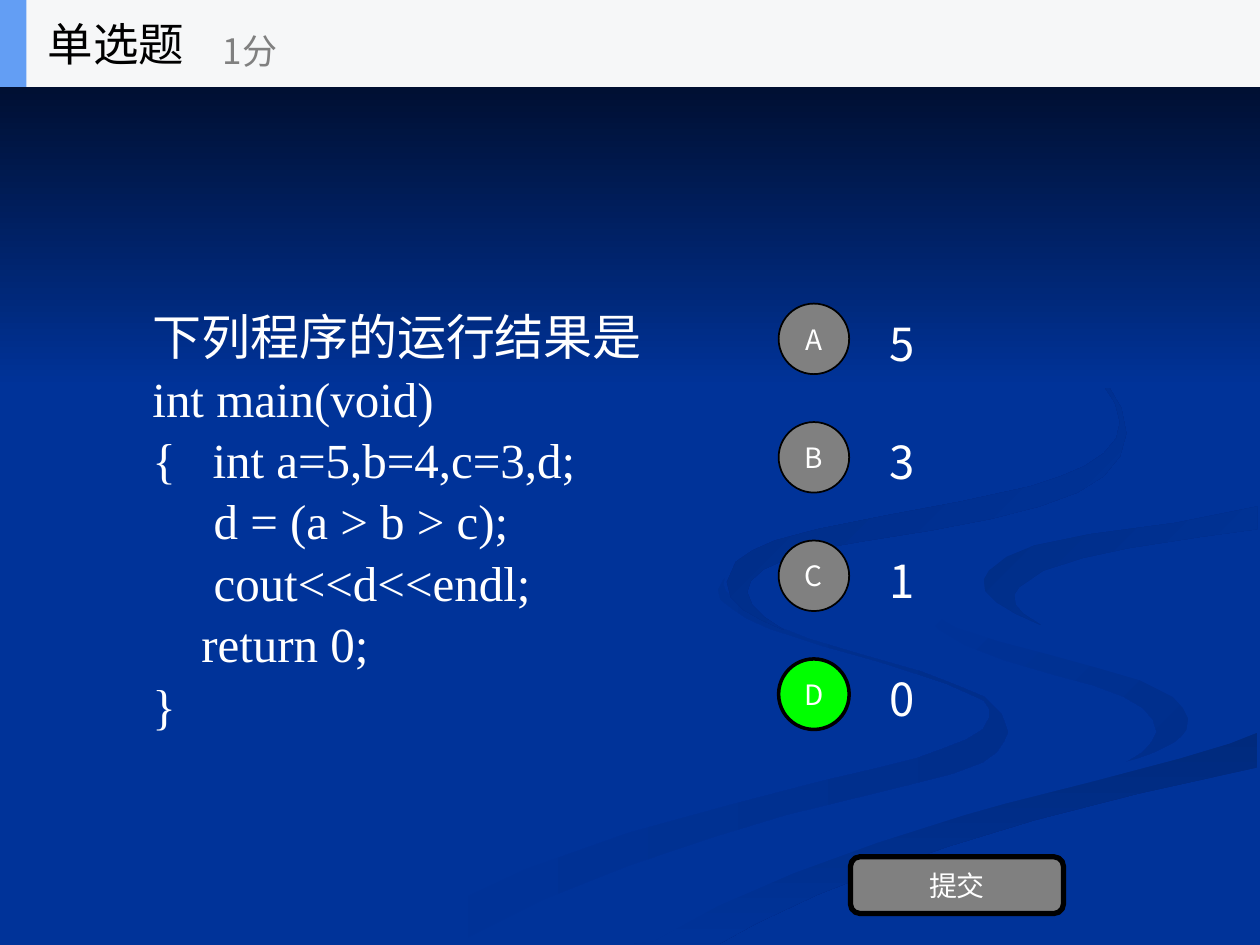
import pptx
import pptx.util
import pptx.dml.color
import pptx.enum.shapes
import pptx.enum.text
import pptx.oxml.ns
import lxml.etree

PX = 9144
SANS = "Noto Sans CJK SC"
SERIF = "Times New Roman"
SHAPE = pptx.enum.shapes.MSO_SHAPE
ALIGN = pptx.enum.text.PP_ALIGN
COLORS = {
    "blue": "003399", "night": "000514", "white": "FFFFFF", "black": "000000",
    "gray": "808080", "green": "00FF00", "bar": "F6F7F8", "accent": "639EF4",
    "shade_left": "002E8B", "shade_low": "002A7D", "shade_right": "002D86", "shade_top": "002B82",
}
QUESTION = [
    "下列程序的运行结果是",
    "int main(void)",
    "{   int a=5,b=4,c=3,d;",
    "     d = (a > b > c);",
    "     cout<<d<<endl;",
    "    return 0;",
    "}",
]
OPTIONS = [("A", "5"), ("B", "3"), ("C", "1"), ("D", "0")]
CORRECT = "D"

LEFT_RIBBON = [
    (781, 553), (757, 543), (731, 533), (682, 519), (642, 507), (614, 496), (594, 485), (583, 477),
    (576, 469), (574, 464), (575, 459), (570, 468), (572, 476), (581, 483), (593, 491), (611, 499),
    (654, 513), (697, 525), (728, 535), (752, 543), (770, 551), (781, 556), (785, 562), (785, 570),
    (780, 579), (767, 587), (749, 594), (727, 602), (699, 609), (652, 620), (579, 639), (499, 661),
    (417, 690), (338, 727), (300, 749), (361, 749), (431, 714), (499, 687), (564, 665), (623, 647),
    (676, 634), (721, 623), (756, 614), (780, 605), (791, 597), (797, 588), (800, 581), (795, 567),
]
MIDDLE_RIBBON = [
    (943, 570), (939, 562), (930, 553), (905, 540), (870, 530), (830, 519), (792, 509), (758, 498),
    (733, 483), (727, 474), (724, 464), (725, 474), (733, 488), (746, 500), (766, 512), (797, 524),
    (838, 536), (868, 544), (892, 553), (907, 562), (915, 571), (918, 581), (914, 589), (907, 597),
    (894, 605), (916, 597), (932, 589), (941, 581),
]
LOW_RIBBON = [
    (519, 747), (503, 749), (571, 749), (600, 733), (649, 710), (695, 692), (752, 672), (821, 651),
    (903, 630), (998, 609), (998, 581), (976, 590), (936, 602), (867, 620), (797, 638), (764, 647),
    (696, 669), (630, 693), (569, 719),
]
WIDE_RIBBON = [
    (725, 464), (728, 474), (734, 483), (759, 498), (793, 509), (831, 519), (871, 530), (905, 540),
    (931, 553), (939, 562), (943, 570), (942, 579), (936, 587), (926, 593), (911, 600), (892, 605),
    (843, 618), (780, 634), (704, 655), (619, 684), (526, 724), (477, 749), (503, 749), (519, 747),
    (570, 719), (630, 693), (696, 669), (765, 647), (797, 638), (868, 620), (936, 602), (976, 590),
    (999, 581), (999, 538), (959, 531), (904, 519), (848, 503), (804, 485), (786, 473), (781, 463),
    (786, 453), (800, 442), (822, 434), (865, 424), (933, 415), (999, 402), (999, 387), (942, 399),
    (874, 408), (808, 417), (770, 427), (742, 439), (730, 449),
]
RIGHT_RIBBON = [
    (781, 460), (782, 469), (791, 478), (806, 487), (826, 496), (812, 487), (806, 480), (805, 472),
    (809, 466), (828, 453), (859, 443), (896, 435), (954, 426), (998, 420), (998, 402), (933, 415),
    (865, 424), (821, 433), (799, 442), (785, 453),
]
TOP_RIBBON = [
    (683, 430), (739, 421), (786, 412), (825, 402), (855, 391), (876, 378), (889, 362), (894, 344),
    (890, 324), (880, 307), (864, 291), (843, 275), (810, 256), (780, 241), (762, 233), (805, 254),
    (846, 279), (862, 292), (876, 306), (885, 320), (889, 335), (886, 348), (876, 360), (861, 370),
    (842, 378), (818, 386), (763, 398), (704, 409), (649, 420), (615, 429), (597, 437), (584, 446),
    (577, 462), (580, 474), (590, 484), (604, 492), (622, 500), (607, 490), (597, 480), (593, 470),
    (596, 461), (606, 452), (624, 444), (649, 436),
]
RIBBONS = [
    (LEFT_RIBBON, "blue", "shade_left", 0),
    (MIDDLE_RIBBON, "blue", "shade_left", 45),
    (LOW_RIBBON, "shade_low", "blue", 90),
    (WIDE_RIBBON, "blue", "blue", 0),
    (RIGHT_RIBBON, "shade_right", "blue", 45),
    (TOP_RIBBON, "shade_top", "blue", 45),
]


def rgb(name):
    """Return the named colour."""
    return pptx.dml.color.RGBColor.from_string(COLORS[name])


def place(part, left, top, width, height):
    """Move and size a part in px."""
    part.left, part.top, part.width, part.height = (v * PX for v in (left, top, width, height))


def write(part, *lines, size, color="white", font=SANS, align=ALIGN.LEFT, wrap=True, gap=0):
    """Fill a part with one formatted paragraph per line."""
    frame = part.text_frame
    frame.auto_size = pptx.enum.text.MSO_AUTO_SIZE.NONE
    frame.word_wrap = wrap
    frame.vertical_anchor = pptx.enum.text.MSO_ANCHOR.MIDDLE
    for index, line in enumerate(lines):
        paragraph = frame.add_paragraph() if index else frame.paragraphs[0]
        paragraph.alignment = align
        paragraph.space_before = pptx.util.Pt(gap if index else 0)
        run = paragraph.add_run()
        run.text = line
        run.font.size = pptx.util.Pt(size)
        run.font.color.rgb = rgb(color)
        run.font.name = font
        east_asian = lxml.etree.SubElement(run.font._element, pptx.oxml.ns.qn("a:ea"))
        east_asian.set("typeface", SANS)


def add_block(slide, kind, box, fill, line=0):
    """Add a filled preset shape, outlined in black when line is given."""
    block = slide.shapes.add_shape(kind, *(v * PX for v in box))
    block.shadow.inherit = False
    block.fill.solid()
    block.fill.fore_color.rgb = rgb(fill)
    if line:
        block.line.color.rgb = rgb("black")
        block.line.width = pptx.util.Pt(line)
    else:
        block.line.fill.background()
    return block


def shade(part, start, end, angle):
    """Give a part a linear gradient, its angle measured clockwise."""
    part.shadow.inherit = False
    part.line.fill.background()
    part.fill.gradient()
    part.fill.gradient_angle = -angle % 360
    for stop, color in zip(part.fill.gradient_stops, (start, end)):
        stop.color.rgb = rgb(color)


def draw_backdrop(slide, left, top, width):
    """Draw the ribbons and the dark sky above them."""
    slide.background.fill.solid()
    slide.background.fill.fore_color.rgb = rgb("blue")
    for outline, start, end, angle in RIBBONS:
        points = [(left + x, top + y) for x, y in outline]
        builder = slide.shapes.build_freeform(*points[0], scale=PX)
        builder.add_line_segments(points[1:])
        shade(builder.convert_to_shape(), start, end, angle)
    sky = add_block(slide, SHAPE.RECTANGLE, (left, top, width, 308), "night")
    shade(sky, "night", "blue", 90)


def bring_forward(slide, part):
    """Put a placeholder in front of what is already drawn."""
    slide.shapes._spTree.append(part._element)


def draw_question(slide, left, top, width, height):
    """Set the question and its code in the body placeholder."""
    question = slide.placeholders[1]
    bring_forward(slide, question)
    place(question, left, top, width, height)
    write(question, *QUESTION, size=28, font=SERIF, gap=1.5)
    for paragraph in question.text_frame.paragraphs:
        properties = paragraph._p.get_or_add_pPr()
        properties.set("marL", "0")
        properties.set("indent", "0")
        lxml.etree.SubElement(properties, pptx.oxml.ns.qn("a:buNone"))


def draw_options(slide, left, top, pitch):
    """Draw the lettered circles with their answers."""
    for row, (letter, answer) in enumerate(OPTIONS):
        y = top + row * pitch
        answer_box = slide.shapes.add_textbox(*(v * PX for v in (left + 78, y, 103, 63)))
        write(answer_box, answer, size=26)
        fill, line = ("green", 2) if letter == CORRECT else ("gray", 1)
        circle = add_block(slide, SHAPE.OVAL, (left, y, 56, 56), fill, line)
        write(circle, letter, size=16, align=ALIGN.CENTER)


def draw_submit(slide, left, top, width, height):
    """Draw the submit button."""
    button = add_block(slide, SHAPE.ROUNDED_RECTANGLE, (left, top, width, height), "gray", 3)
    write(button, "提交", size=16, align=ALIGN.CENTER)


def draw_header(slide, left, top, width, height):
    """Draw the header bar with the question type and its score."""
    add_block(slide, SHAPE.RECTANGLE, (left, top, width, height), "bar")
    add_block(slide, SHAPE.RECTANGLE, (left, top, 21, height), "accent")
    title = slide.shapes.title
    bring_forward(slide, title)
    place(title, left + 28, top, 208, height)
    write(title, "单选题", size=26, color="black", wrap=False)
    score = slide.shapes.add_textbox(*(v * PX for v in (left + 167, top + 12, 250, 56)))
    write(score, "1分", size=20, color="gray", wrap=False)


def main():
    """Build the quiz slide."""
    deck = pptx.Presentation()
    deck.slide_width, deck.slide_height = 1000 * PX, 750 * PX
    slide = deck.slides.add_slide(deck.slide_layouts[1])
    draw_backdrop(slide, 0, 0, 1000)
    draw_question(slide, 111, 218, 483, 390)
    draw_options(slide, 618, 241, 94)
    draw_submit(slide, 675, 680, 169, 45)
    draw_header(slide, 0, 0, 1000, 69)
    deck.save("out.pptx")


if __name__ == "__main__":
    main()
